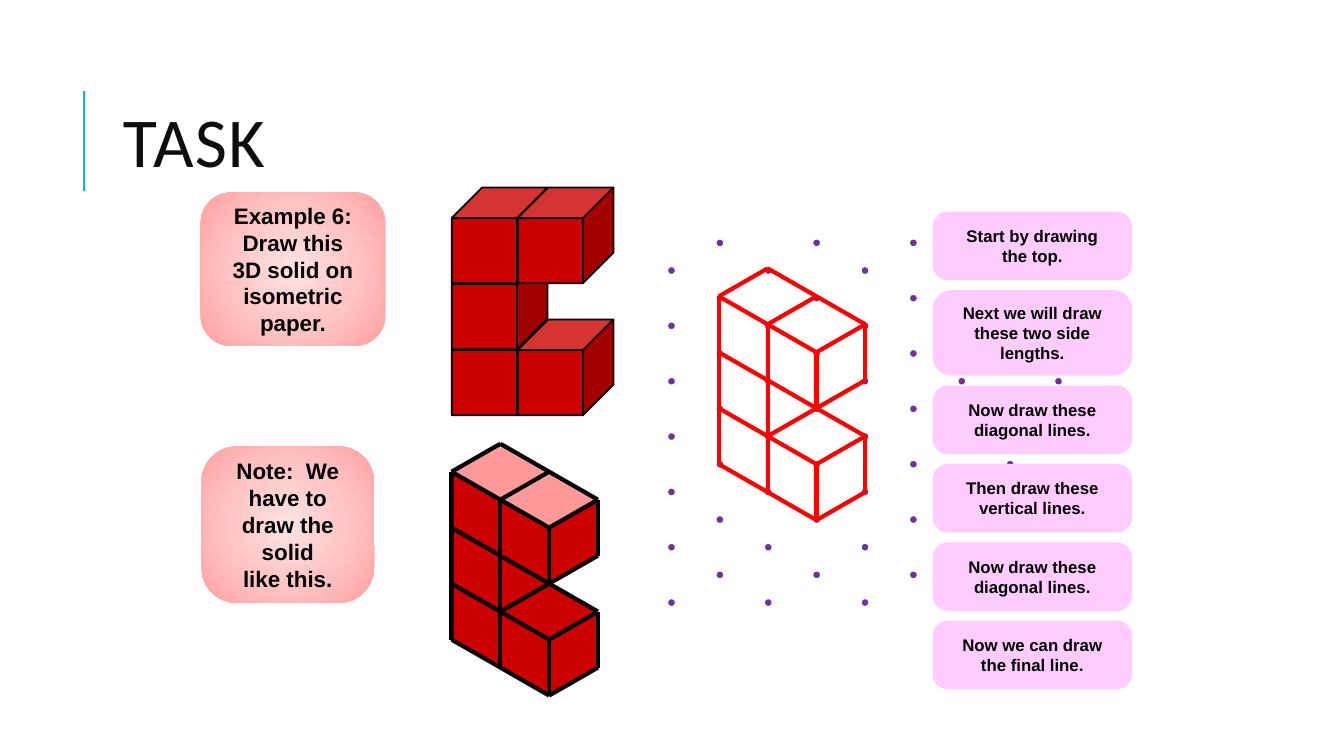
from dataclasses import dataclass
from itertools import product

from pptx import Presentation
from pptx import util as u
from pptx.dml.color import RGBColor
from pptx.enum import shapes, text
from pptx.oxml import ns, parse_xml

COLORS = {
    "accent": "1CADE4", "title": "0D0D0D", "black": "000000", "solid": "CC0000",
    "top": "FF9999", "sketch": "FF0000", "dot": "7030A0", "step": "FFCCFF",
    "glow_in": "FFE3E3", "glow_mid": "FFC5C5", "glow_out": "FFA0A0",
}
WIDTH, HEIGHT = u.Inches(13.33), u.Inches(7.5)
KIND = shapes.MSO_SHAPE
ALIGN = text.PP_ALIGN

Point = tuple[float, float]
Segment = tuple[Point, Point]


# Positions and sizes are percentages of the slide's width and height.
@dataclass(frozen=True)
class Area:
    left: float
    top: float
    width: float
    height: float


@dataclass(frozen=True)
class Grid:
    left: float
    top: float
    column: float
    row: float

    def at(self, column: float, row: float) -> Point:
        return self.left + column * self.column, self.top + row * self.row


@dataclass(frozen=True)
class Note:
    area: Area
    lines: list[str]
    corner: float


@dataclass(frozen=True)
class Step:
    lines: list[str]
    height: float = 9.07


DOTS = Grid(49.96, 32.13, 3.6, 3.66)
SKETCH = Grid(53.49, 39.2, 3.63, 3.7)
MODEL = Grid(33.6, 62.4, 3.63, 3.7)
CUBES = Grid(33.61, 24.8, 4.91, 8.73)

# Edges of the isometric solid, in grid columns and rows from its left top corner
EDGES: list[Segment] = [
    ((1, -1), (3, 1)), ((0, 0), (2, 2)), ((0, 2), (2, 4)), ((2, 4), (3, 5)),
    ((0, 4), (2, 6)), ((0, 6), (2, 8)),
    ((0, 0), (0, 6)), ((1, 1), (1, 7)), ((2, 2), (2, 4)), ((3, 1), (3, 3)),
    ((2, 6), (2, 8)), ((3, 5), (3, 7)),
    ((1, -1), (0, 0)), ((2, 0), (1, 1)), ((3, 1), (2, 2)), ((3, 3), (2, 4)),
    ((2, 4), (1, 5)), ((3, 5), (2, 6)), ((3, 7), (2, 8)),
]
FACES: list[tuple[str, list[Point]]] = [
    ("solid", [(1, -1), (0, 0), (0, 6), (2, 8), (3, 7), (3, 5), (2, 4), (3, 3), (3, 1)]),
    ("solid", [(1, 5), (2, 4), (3, 5), (2, 6)]),
    ("top", [(1, -1), (0, 0), (2, 2), (3, 1)]),
]
CUBE_CELLS = [(0, 2), (1, 2), (0, 1), (0, 0), (1, 0)]
STRAY_DOTS = [(6, 5), (8, 5), (7, 8)]

NOTES = [
    Note(Area(15, 59.07, 12.83, 20.67),
         ["Note:  We have to draw the solid", "like this."], 0.222),
    Note(Area(14.93, 25.47, 13.73, 20.27),
         ["Example 6:", "Draw this 3D solid on", "isometric paper."], 0.196),
]
STEPS = [
    Step(["Start by drawing", "the top."]),
    Step(["Next we will draw these two side lengths."], 11.33),
    Step(["Now draw these diagonal lines."]),
    Step(["Then draw these vertical lines."]),
    Step(["Now draw these diagonal lines."]),
    Step(["Now we can draw the final line."]),
]
STEP_GAP = 1.3


def across(share: float) -> int:
    return round(WIDTH * share / 100)


def down(share: float) -> int:
    return round(HEIGHT * share / 100)


def box(area: Area) -> tuple[int, int, int, int]:
    return across(area.left), down(area.top), across(area.width), down(area.height)


def color(name: str) -> RGBColor:
    return RGBColor.from_string(COLORS[name])


def paint(shape, fill: str, line: str | None = None, weight: float = 1) -> None:
    shape.shadow.inherit = False
    shape.fill.solid()
    shape.fill.fore_color.rgb = color(fill)
    if line is None:
        shape.line.fill.background()
    else:
        shape.line.color.rgb = color(line)
        shape.line.width = u.Pt(weight)


def add_shape(slide, kind, area: Area, fill: str, line: str | None = None,
              weight: float = 1, adjust: float | None = None):
    shape = slide.shapes.add_shape(kind, *box(area))
    if adjust is not None:
        shape.adjustments[0] = adjust
    paint(shape, fill, line, weight)
    return shape


def add_line(slide, start: Point, end: Point, name: str, weight: float) -> None:
    line = slide.shapes.add_connector(
        shapes.MSO_CONNECTOR.STRAIGHT,
        across(start[0]), down(start[1]), across(end[0]), down(end[1]))
    line.line.color.rgb = color(name)
    line.line.width = u.Pt(weight)
    properties = line._element.spPr
    properties.append(properties.makeelement(ns.qn("a:effectLst"), {}))


def add_face(slide, grid: Grid, corners: list[Point], fill: str) -> None:
    points = [(across(x), down(y)) for x, y in (grid.at(*corner) for corner in corners)]
    builder = slide.shapes.build_freeform(*points[0])
    builder.add_line_segments(points[1:], close=True)
    paint(builder.convert_to_shape(), fill)


def add_glow(shape) -> None:
    stops = "".join(
        f'<a:gs pos="{position}"><a:srgbClr val="{COLORS[name]}"/></a:gs>'
        for position, name in [(0, "glow_in"), (50000, "glow_mid"), (100000, "glow_out")])
    gradient = parse_xml(
        f'<a:gradFill {ns.nsdecls("a")} rotWithShape="1">'
        f'<a:gsLst>{stops}</a:gsLst><a:path path="circle">'
        '<a:fillToRect l="50000" t="50000" r="50000" b="50000"/></a:path></a:gradFill>')
    properties = shape._element.spPr
    properties.replace(properties.find(ns.qn("a:solidFill")), gradient)


def write(shape, lines: list[str], *, size: float, font: str = "Arial", name: str = "black",
          bold: bool = True, align=ALIGN.CENTER, inset: float = 0.75,
          line_spacing: float | None = None, tracking: int | None = None) -> None:
    frame = shape.text_frame
    frame.word_wrap = True
    frame.vertical_anchor = text.MSO_ANCHOR.MIDDLE
    frame.margin_left = frame.margin_right = across(inset)
    for index, line in enumerate(lines):
        paragraph = frame.add_paragraph() if index else frame.paragraphs[0]
        paragraph.alignment = align
        paragraph.line_spacing = line_spacing
        run = paragraph.add_run()
        run.text = line
        run.font.name, run.font.size, run.font.bold = font, u.Pt(size), bold
        run.font.color.rgb = color(name)
        if tracking is not None:
            run._r.get_or_add_rPr().set("spc", str(tracking))


def main() -> None:
    presentation = Presentation()
    presentation.slide_width, presentation.slide_height = WIDTH, HEIGHT
    slide = presentation.slides.add_slide(presentation.slide_layouts[6])

    # Title
    add_line(slide, (6.23, 25.33), (6.23, 12), "accent", 1.5)
    title = slide.shapes.add_textbox(*box(Area(8.4, 8.53, 79.74, 21.87)))
    write(title, ["TASK"], size=50, font="Calibri", name="title", bold=False,
          align=ALIGN.LEFT, line_spacing=0.8, tracking=100)

    # Isometric dot paper: every second crossing of the grid
    crossings = [cell for cell in product(range(6), range(14)) if sum(cell) % 2]
    for cell in crossings + STRAY_DOTS:
        x, y = DOTS.at(*cell)
        add_shape(slide, KIND.OVAL, Area(x - 0.22, y - 0.4, 0.45, 0.8), "dot", "dot", 0.25)

    # Filled solid and its line drawing
    for fill, corners in FACES:
        add_face(slide, MODEL, corners, fill)
    for grid, name in [(SKETCH, "sketch"), (MODEL, "black")]:
        for start, end in EDGES:
            add_line(slide, grid.at(*start), grid.at(*end), name, 3)

    # Solid made of cubes
    for cell in CUBE_CELLS:
        add_shape(slide, KIND.CUBE, Area(*CUBES.at(*cell), 7.13, 12.67),
                  "solid", "black", 1.25, 0.319)

    # Notes on the left
    for note in NOTES:
        shape = add_shape(slide, KIND.ROUNDED_RECTANGLE, note.area, "glow_mid",
                          adjust=note.corner)
        add_glow(shape)
        write(shape, note.lines, size=16, inset=1.35)

    # Steps on the right
    top = 28.0
    for step in STEPS:
        shape = add_shape(slide, KIND.ROUNDED_RECTANGLE, Area(69.39, top, 14.85, step.height),
                          "step", adjust=0.222)
        write(shape, step.lines, size=12, inset=1.13)
        top += step.height + STEP_GAP

    presentation.save("out.pptx")


if __name__ == "__main__":
    main()
